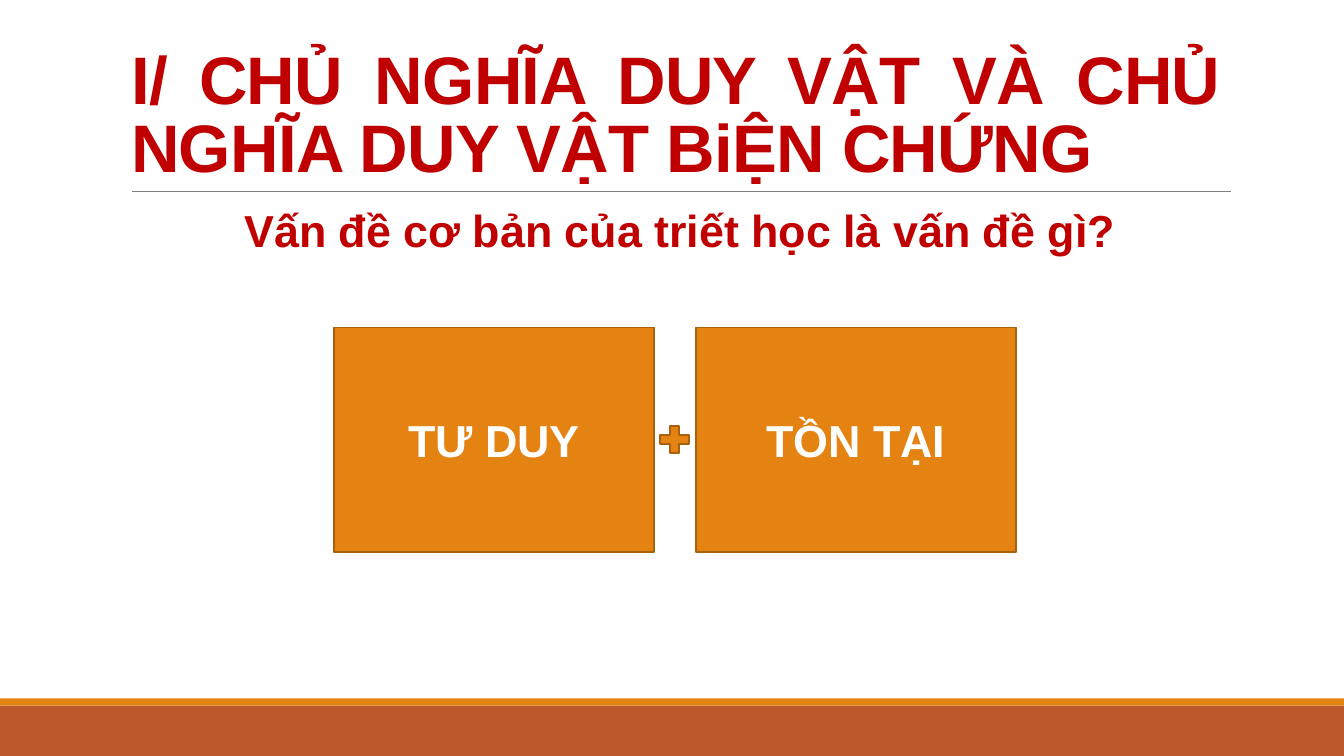
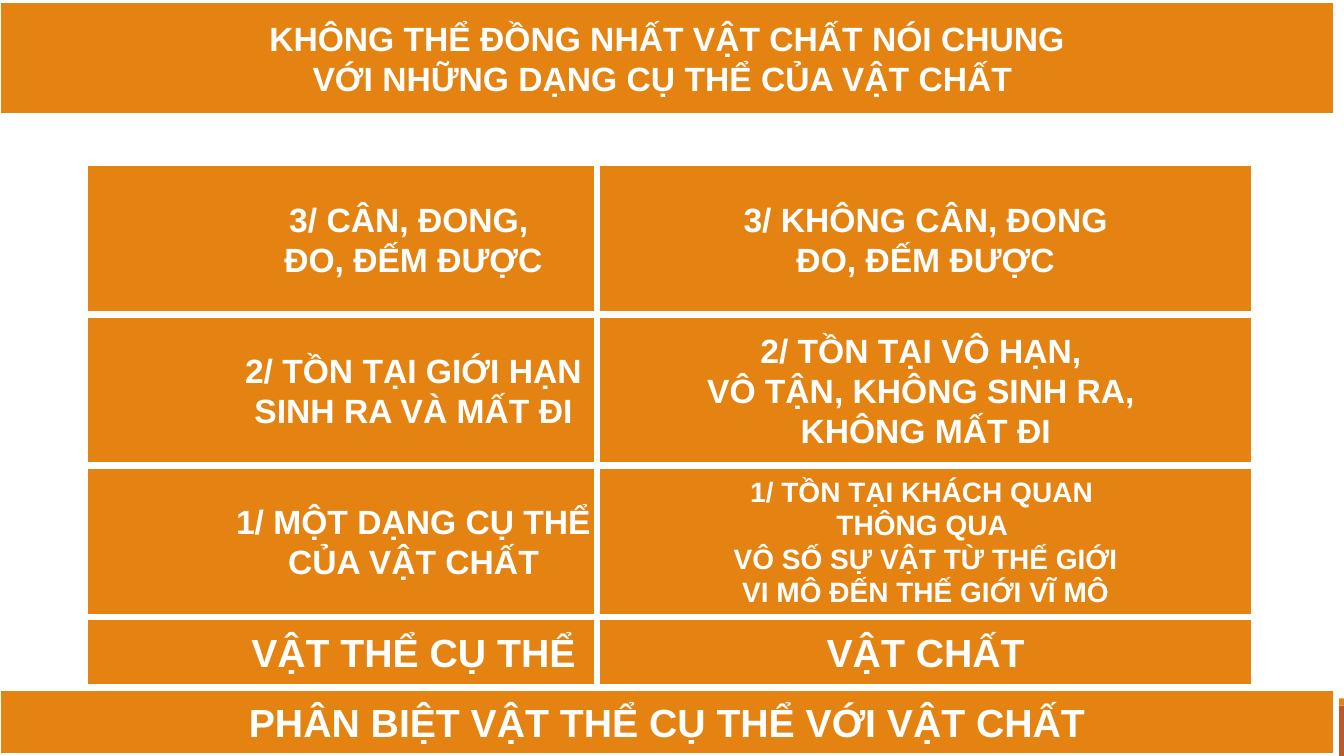
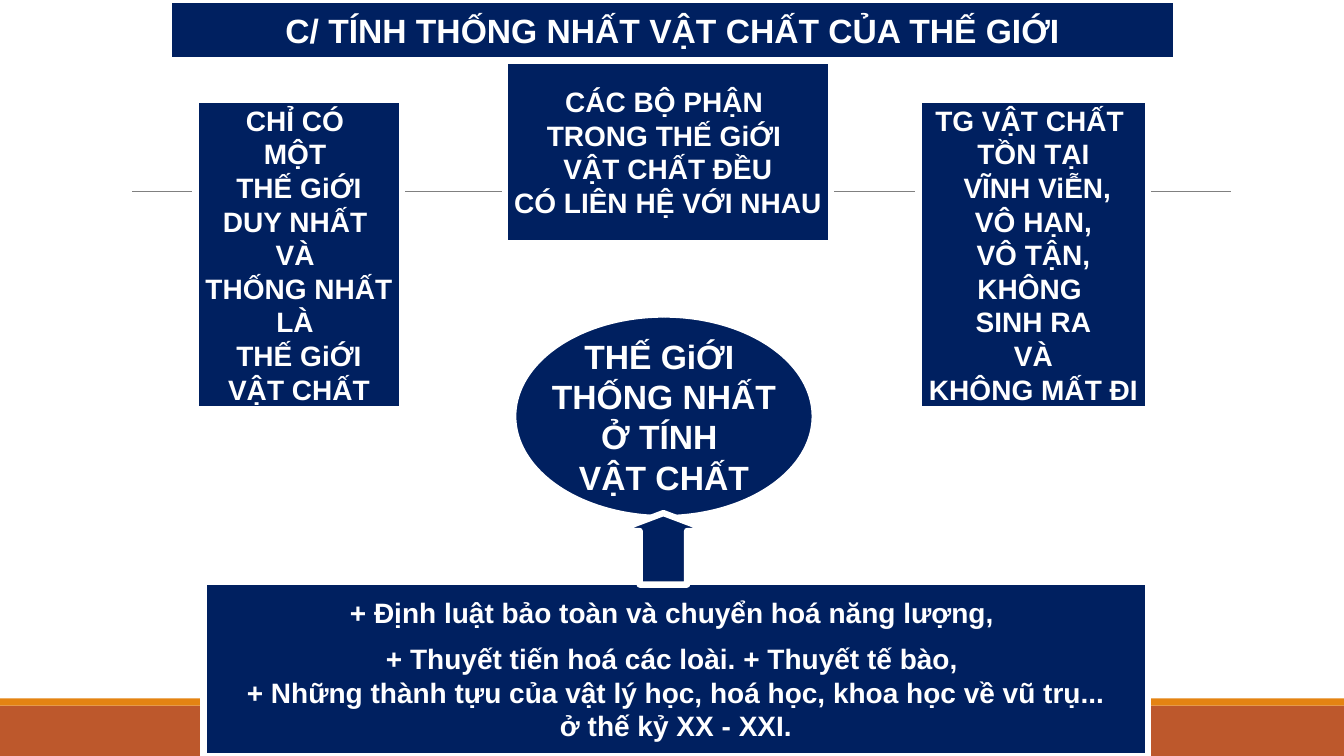
from pptx import Presentation
from pptx.dml.color import RGBColor
from pptx.enum.shapes import MSO_CONNECTOR, MSO_SHAPE
from pptx.enum.text import MSO_ANCHOR, MSO_AUTO_SIZE, PP_ALIGN
from pptx.oxml.ns import qn
from pptx.util import Inches, Pt
from lxml.etree import SubElement

WIDTH, HEIGHT = 13.33, 7.5
FONT = "Arial"
COLORS = {
    "orange": "E48312",
    "rust": "BD582C",
    "brown": "A9610D",
    "navy": "002060",
    "red": "C00000",
    "gray": "808080",
    "white": "FFFFFF",
}
TITLE_AND_BODY, TITLE_ONLY = 1, 5


def rgb(name):
    return RGBColor.from_string(COLORS[name])


def place(shape, left, top, width, height):
    shape.left, shape.top = Inches(left), Inches(top)
    shape.width, shape.height = Inches(width), Inches(height)


def paint(shape, fill, line=None, weight=4.5):
    shape.shadow.inherit = False
    shape.fill.solid()
    shape.fill.fore_color.rgb = rgb(fill)
    if line:
        shape.line.color.rgb = rgb(line)
        shape.line.width = Pt(weight)
    else:
        shape.line.fill.background()


def write(shape, text, size=24, color="white", align=PP_ALIGN.CENTER,
          anchor=MSO_ANCHOR.MIDDLE, wrap=False, spacing=None, before=0, after=0):
    """Fill a shape with one paragraph per line of text; return the paragraphs."""
    frame = shape.text_frame
    frame.text = text
    frame.auto_size = MSO_AUTO_SIZE.NONE
    frame.word_wrap = wrap
    frame.vertical_anchor = anchor
    for paragraph in frame.paragraphs:
        paragraph.alignment = align
        paragraph.line_spacing = spacing
        paragraph.space_before, paragraph.space_after = Pt(before), Pt(after)
        for run in paragraph.runs:
            run.font.name, run.font.size, run.font.bold = FONT, Pt(size), True
            run.font.color.rgb = rgb(color)
    return frame.paragraphs


def add_block(slide, area, fill, line="white", weight=4.5, kind=MSO_SHAPE.RECTANGLE):
    block = slide.shapes.add_shape(kind, *map(Inches, area))
    paint(block, fill, line, weight)
    return block


def add_text_block(slide, area, text, fill, size=24, kind=MSO_SHAPE.RECTANGLE):
    block = add_block(slide, area, fill, kind=kind)
    write(block, text, size)
    return block


def add_line(slide, start, end, color="white", weight=4.5, arrow=True):
    line = slide.shapes.add_connector(MSO_CONNECTOR.STRAIGHT, *map(Inches, start + end))
    line.line.color.rgb = rgb(color)
    line.line.width = Pt(weight)
    if arrow:
        SubElement(line.line._get_or_add_ln(), qn("a:tailEnd"), type="triangle")
    SubElement(line._element.spPr, qn("a:effectLst"))
    return line


def add_title_band(slide, area, text, fill):
    band = slide.shapes.title
    place(band, *area)
    paint(band, fill, "white")
    write(band, text)


def furnish_master(prs, slide):
    """Draw the footer bands and the title rule, and move them to the master."""
    footer = [
        add_block(slide, (0, 7, WIDTH, 0.5), "rust", line=None),
        add_block(slide, (0, 6.93, WIDTH, 0.07), "orange", line=None),
        add_line(slide, (1.31, 1.9), (12.21, 1.9), "gray", 0.5, arrow=False),
    ]
    for part in footer:
        prs.slide_master.shapes._spTree.append(part._element)


def build_question(slide):
    title, question = slide.shapes.title, slide.placeholders[1]
    place(title, 1.2, 0.31, 11, 1.59)
    heading, = write(title, "I/ CHỦ NGHĨA DUY VẬT VÀ CHỦ NGHĨA DUY VẬT BiỆN CHỨNG",
                     size=48, color="red", align=PP_ALIGN.JUSTIFY,
                     anchor=MSO_ANCHOR.BOTTOM, wrap=True, spacing=0.85)
    heading.runs[0].font._element.set("spc", "-50")

    place(question, 1.2, 2.02, 11, 4.4)
    line, = write(question, "Vấn đề cơ bản của triết học là vấn đề gì?",
                  size=32, color="red", anchor=MSO_ANCHOR.TOP, wrap=True,
                  spacing=0.9, before=12, after=2)
    question.text_frame.margin_left = question.text_frame.margin_right = 0
    properties = line._p.get_or_add_pPr()
    properties.set("marL", str(Inches(0.1)))
    properties.set("indent", "0")
    SubElement(properties, qn("a:buNone"))

    left, top, width, height, gap = 3.31, 3.25, 3.18, 2.23, 0.41
    for column, concept in enumerate(("TƯ DUY", "TỒN TẠI")):
        area = (left + column * (width + gap), top, width, height)
        block = add_block(slide, area, "orange", "brown", 1.25)
        write(block, concept, size=32, wrap=True)
    add_block(slide, (left + width, 4.18, 0.4, 0.36), "orange", "brown", 1.25,
              MSO_SHAPE.MATH_PLUS)


def build_comparison(slide):
    band_left, band_width = -0.02, 13.27
    top, row_height, header_height, cell_width = 1.62, 1.5, 0.7, 6.52
    add_title_band(slide, (band_left, 0, band_width, 1.15),
                   "KHÔNG THỂ ĐỒNG NHẤT VẬT CHẤT NÓI CHUNG\n"
                   "VỚI NHỮNG DẠNG CỤ THỂ CỦA VẬT CHẤT ", "orange")
    # Each column: left edge, then (text, size) from the top row down
    columns = (
        (0.84, (("3/ CÂN, ĐONG, \nĐO, ĐẾM ĐƯỢC", 24),
                ("2/ TỒN TẠI GIỚI HẠN\nSINH RA VÀ MẤT ĐI", 24),
                ("1/ MỘT DẠNG CỤ THỂ\nCỦA VẬT CHẤT", 24),
                ("VẬT THỂ CỤ THỂ", 28))),
        (5.92, (("3/ KHÔNG CÂN, ĐONG\nĐO, ĐẾM ĐƯỢC", 24),
                ("2/ TỒN TẠI VÔ HẠN, \nVÔ TẬN, KHÔNG SINH RA, \nKHÔNG MẤT ĐI", 24),
                ("1/ TỒN TẠI KHÁCH QUAN \nTHÔNG QUA \n"
                 "VÔ SỐ SỰ VẬT TỪ THẾ GIỚI\nVI MÔ ĐẾN THẾ GIỚI VĨ MÔ", 20),
                ("VẬT CHẤT", 28))),
    )
    for left, cells in columns:
        for row, (text, size) in enumerate(cells):
            height = header_height if row == len(cells) - 1 else row_height
            area = (left, top + row * row_height, cell_width, height)
            add_text_block(slide, area, text, "orange", size)
    add_text_block(slide, (band_left, 6.82, band_width, 0.68),
                   "PHÂN BIỆT VẬT THỂ CỤ THỂ VỚI VẬT CHẤT", "orange", 28)
    for x in (3.99, 9.34):
        add_line(slide, (x, top), (x, 1.15))


def build_unity(slide):
    add_title_band(slide, (1.67, 0, 10, 0.6),
                   "C/ TÍNH THỐNG NHẤT VẬT CHẤT CỦA THẾ GIỚI", "navy")
    unity = add_text_block(slide, (5.09, 3.12, 2.99, 2.02),
                           "THẾ GiỚI \nTHỐNG NHẤT\nỞ TÍNH \nVẬT CHẤT",
                           "navy", kind=MSO_SHAPE.OVAL)
    add_text_block(slide, (1.94, 0.99, 2.05, 3.07),
                   "CHỈ CÓ \nMỘT \nTHẾ GiỚI\nDUY NHẤT \nVÀ \nTHỐNG NHẤT\n"
                   "LÀ \nTHẾ GiỚI\nVẬT CHẤT", "navy", 20)
    linked = add_text_block(slide, (5.01, 0.6, 3.23, 1.81),
                            "CÁC BỘ PHẬN \nTRONG THẾ GiỚI \nVẬT CHẤT ĐỀU\n"
                            "CÓ LIÊN HỆ VỚI NHAU", "navy", 20)
    add_text_block(slide, (9.11, 0.99, 2.28, 3.07),
                   "TG VẬT CHẤT \nTỒN TẠI\n VĨNH ViỄN,\nVÔ HẠN,\nVÔ TẬN,\n"
                   "KHÔNG \nSINH RA\nVÀ\nKHÔNG MẤT ĐI", "navy", 20)
    evidence = add_text_block(
        slide, (2.02, 5.77, 9.37, 1.73),
        "+ Định luật bảo toàn và chuyển hoá năng lượng, \n"
        "+ Thuyết tiến hoá các loài. + Thuyết tế bào, \n"
        "+ Những thành tựu của vật lý học, hoá học, khoa học về vũ trụ...\n"
        "ở thế kỷ XX - XXI.", "navy", 20)
    evidence.text_frame.paragraphs[1].space_before = Pt(9)
    add_block(slide, (6.11, 5.09, 0.94, 0.71), "navy", kind=MSO_SHAPE.UP_ARROW
              ).adjustments[1] = 0.25

    origin = (6.59, 3.12)
    arrows = [add_line(slide, origin, end)
              for end in ((6.59, 2.41), (3.99, 2.02), (9.11, 2.1))]
    for arrow in arrows:
        arrow.begin_connect(unity, 0)
    arrows[0].end_connect(linked, 2)


def main():
    prs = Presentation()
    prs.slide_width, prs.slide_height = Inches(WIDTH), Inches(HEIGHT)
    pages = ((TITLE_AND_BODY, build_question),
             (TITLE_ONLY, build_comparison),
             (TITLE_ONLY, build_unity))
    for number, (layout, build) in enumerate(pages):
        slide = prs.slides.add_slide(prs.slide_layouts[layout])
        if number == 0:
            furnish_master(prs, slide)
        build(slide)
    prs.save("out.pptx")


if __name__ == "__main__":
    main()
